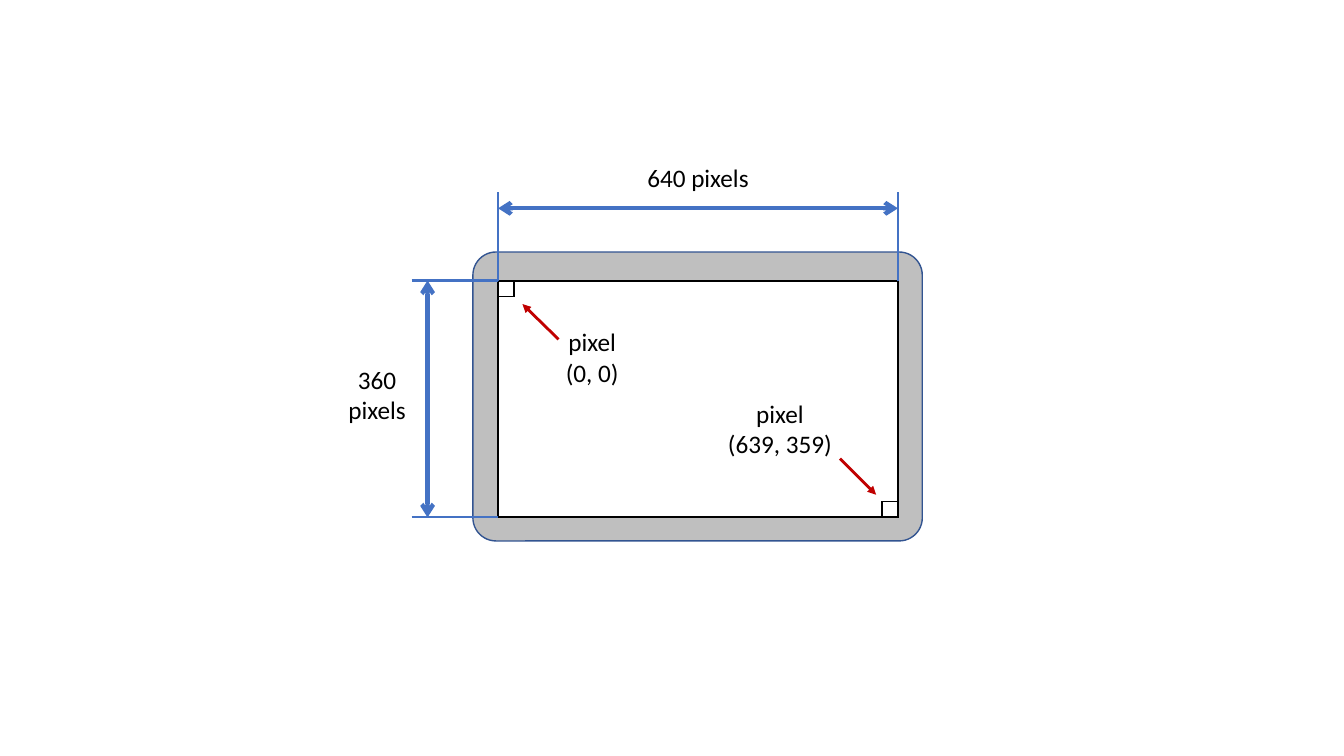
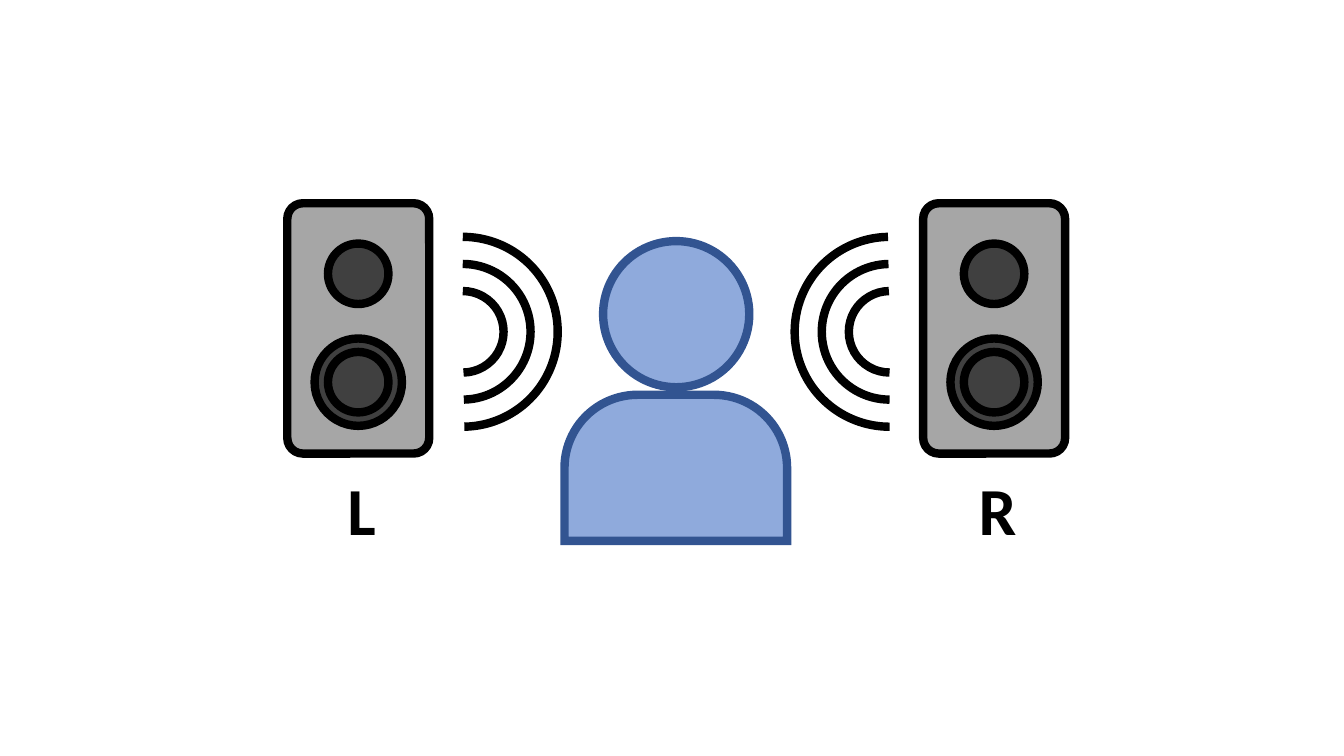
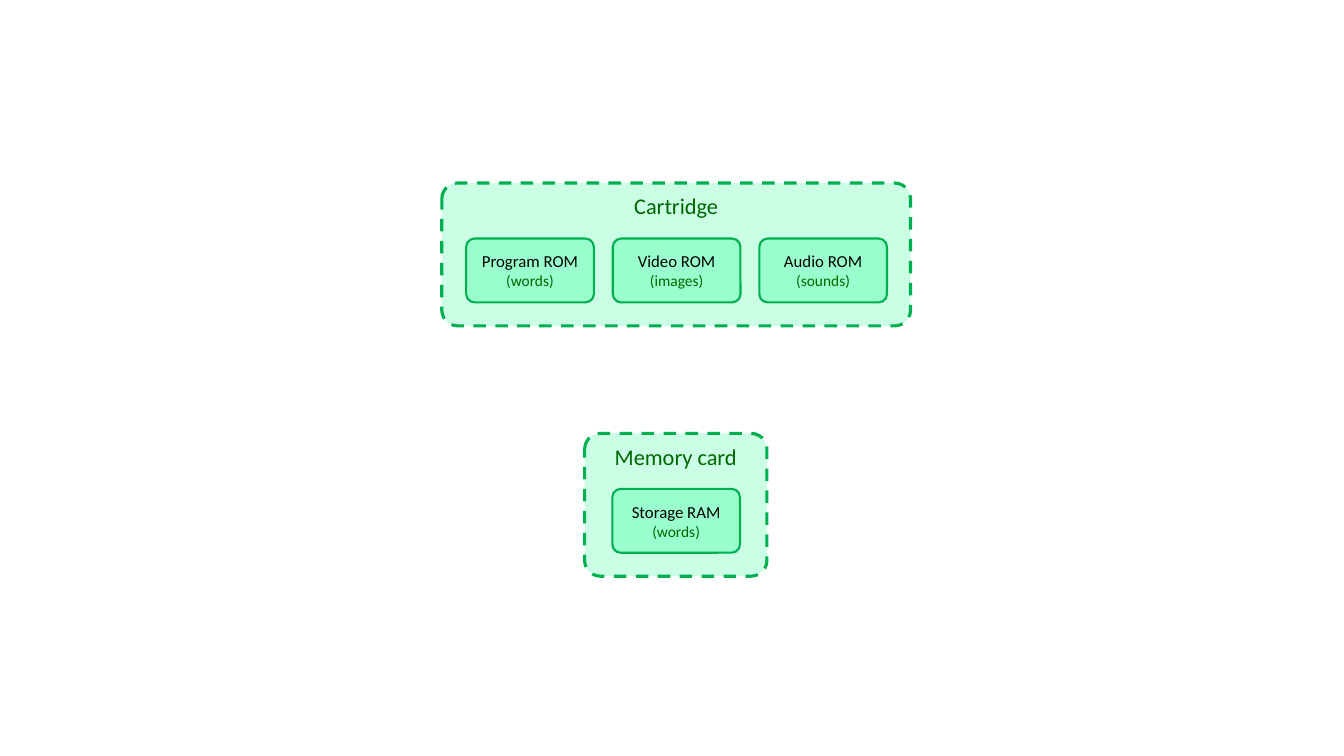
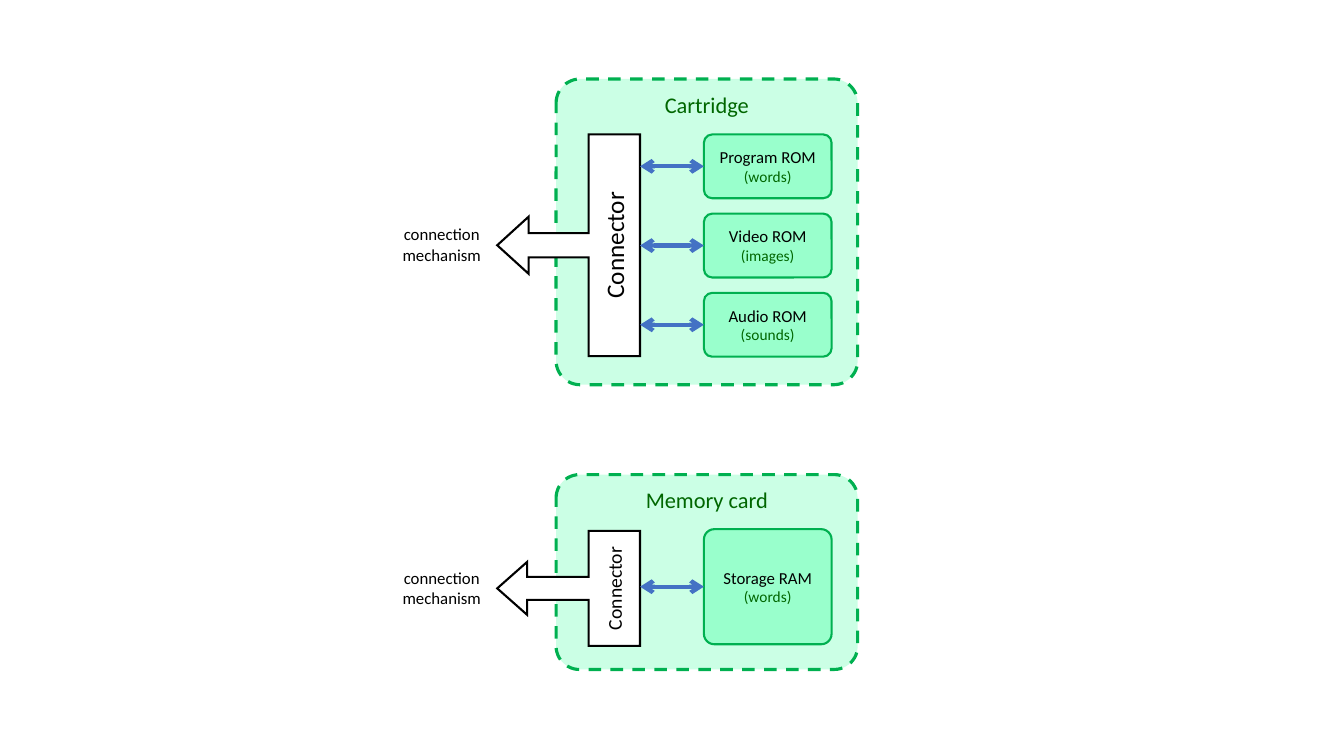
import dataclasses
import itertools

import lxml.etree
import pptx
import pptx.dml.color
import pptx.enum.dml
import pptx.enum.shapes
import pptx.enum.text
import pptx.oxml.ns
import pptx.util


@dataclasses.dataclass(frozen=True)
class Theme:
    font: str = "Calibri"
    black: str = "000000"
    white: str = "FFFFFF"
    blue: str = "4472C4"
    navy: str = "325491"
    sky: str = "8FAADC"
    red: str = "C00000"
    mint: str = "99FFCC"
    green: str = "00B050"
    forest: str = "006600"
    silver: str = "BFBFBF"
    gray: str = "A6A6A6"
    coal: str = "404040"
    huge: int = 48
    large: int = 18
    head: int = 16
    mid: int = 14
    body: int = 12
    small: int = 11
    thin: float = 1
    line: float = 1.5
    edge: float = 2.25
    bold: float = 3
    thick: float = 6


look = Theme()
kinds = pptx.enum.shapes.MSO_SHAPE
rgb = pptx.dml.color.RGBColor.from_string
qn = pptx.oxml.ns.qn
deck = pptx.Presentation()
deck.slide_width = pptx.util.Inches(13.333)
deck.slide_height = pptx.util.Inches(7.5)
col = deck.slide_width / 160
row = deck.slide_height / 90


def draw(page, text, box, kind=None, adj=(), fill=None, clear=None, line=None,
         width=look.line, dash=False, turn=0, sizes=(look.large,),
         inks=(look.black,), bold=False, middle=False, inset=(0.1, 0.05)):
    x, y, w, h = box
    spot = [round(v) for v in (x * col, y * row, w * col, h * row)]
    if kind is None:
        shape = page.shapes.add_textbox(*spot)
    else:
        shape = page.shapes.add_shape(kind, *spot)
        shape.shadow.inherit = False
        for i, value in enumerate(adj):
            shape.adjustments[i] = value
        if fill:
            shape.fill.solid()
            shape.fill.fore_color.rgb = rgb(fill)
        else:
            shape.fill.background()
        if clear:
            tint = shape.element.spPr.find(qn("a:solidFill") + "/" + qn("a:srgbClr"))
            lxml.etree.SubElement(tint, qn("a:alpha"), val=str(clear * 1000))
        shape.line.color.rgb = rgb(line)
        shape.line.width = pptx.util.Pt(width)
        if dash:
            shape.line.dash_style = pptx.enum.dml.MSO_LINE.DASH
        edge = shape.element.spPr.find(qn("a:ln"))
        lxml.etree.SubElement(edge, qn("a:miter"), lim="800000")
    shape.rotation = turn
    if not text:
        return
    frame = shape.text_frame
    frame.word_wrap = True
    frame.margin_left = frame.margin_right = pptx.util.Inches(inset[0])
    frame.margin_top = frame.margin_bottom = pptx.util.Inches(inset[1])
    anchor = pptx.enum.text.MSO_ANCHOR
    frame.vertical_anchor = anchor.MIDDLE if middle else anchor.TOP
    rows = zip(text.split("\n"), itertools.cycle(sizes), itertools.cycle(inks))
    for i, (words, size, ink) in enumerate(rows):
        para = frame.add_paragraph() if i else frame.paragraphs[0]
        para.alignment = pptx.enum.text.PP_ALIGN.CENTER
        run = para.add_run()
        run.text = words
        run.font.name = look.font
        run.font.size = pptx.util.Pt(size)
        run.font.bold = bold
        run.font.color.rgb = rgb(ink)


def link(page, start, end, ink=look.blue, width=look.line, head=None, tail=None):
    ends = [round(v * cell) for v, cell in zip(start + end, (col, row, col, row))]
    wire = page.shapes.add_connector(pptx.enum.shapes.MSO_CONNECTOR.STRAIGHT, *ends)
    wire.line.color.rgb = rgb(ink)
    wire.line.width = pptx.util.Pt(width)
    edge = wire.element.spPr.find(qn("a:ln"))
    for side, tip in (("a:headEnd", head), ("a:tailEnd", tail)):
        if tip:
            lxml.etree.SubElement(edge, qn(side), type=tip)
    lxml.etree.SubElement(wire.element.spPr, qn("a:effectLst"))


screen, sound, parts, wiring = [
    deck.slides.add_slide(deck.slide_layouts[6]) for _ in range(4)]
both = dict(width=look.bold, head="arrow", tail="arrow")
case = dict(kind=kinds.ROUNDED_RECTANGLE, fill=look.mint, clear=50, line=look.green,
            width=look.edge, dash=True, sizes=(look.head,), inks=(look.forest,))
chip = dict(kind=kinds.ROUNDED_RECTANGLE, fill=look.mint, line=look.green,
            sizes=(look.body, look.small), inks=(look.black, look.forest), middle=True)
roms = ("Program ROM\n(words)", "Video ROM\n(images)", "Audio ROM\n(sounds)")
ram = "Storage RAM\n(words)"
chip_w, chip_h = 15.2, 7.6

left, top, right, foot, dot = 59.3, 33.4, 106.9, 61.6, 1.9
draw(screen, "", (56.3, 30, 53.5, 34.4), kind=kinds.ROUNDED_RECTANGLE, adj=(0.08,),
     fill=look.silver, line=look.navy, width=look.thin)
draw(screen, "", (left, top, right - left, foot - top), kind=kinds.RECTANGLE,
     fill=look.white, line=look.black)
for x, y in ((left, top), (right - dot, foot - dot)):
    draw(screen, "", (x, y, dot, dot), kind=kinds.RECTANGLE, line=look.black,
         width=look.thin)
for x in (left, right):
    link(screen, (x, 22.9), (x, top))
for y in (top, foot):
    link(screen, (49, y), (left, y))
link(screen, (left, 24.8), (right, 24.8), **both)
link(screen, (50.9, top), (50.9, foot), **both)
draw(screen, "640 pixels", (left, 18.7, right - left, 4.8))
draw(screen, "360\npixels", (39, 42.8, 11.8, 8.5))
for text, box in (("pixel\n(0, 0)", (65.5, 38.4, 10, 8.2)),
                  ("pixel\n(639, 359)", (84.8, 46.9, 16.1, 8.2))):
    draw(screen, text, box, inset=(0.07, 0.04))
for start, end in (((66.5, 40.4), (62.2, 36.2)), ((100, 54.6), (104.3, 58.9))):
    link(screen, start, end, ink=look.red, width=2, tail="triangle")

pen = dict(line=look.black, width=look.thick)
for name, x, hub, turn in (("L", 34.2, 55.1, 0), ("R", 109.9, 105.9, 180)):
    draw(sound, "", (x, 24.2, 16.9, 29.8), kind=kinds.ROUNDED_RECTANGLE,
         adj=(0.11,), fill=look.gray, **pen)
    for y, size in ((32.6, 7.2), (45.5, 10.4), (45.5, 7.2)):
        draw(sound, "", (x + 8.45 - size / 2, y - size / 2, size, size),
             kind=kinds.OVAL, fill=look.coal, **pen)
    for i in range(3):
        size = 9.7 + 6.45 * i
        draw(sound, "", (hub - size / 2, 39.5 - size / 2, size, size),
             kind=kinds.ARC, adj=(162, 53.43), turn=turn, **pen)
    draw(sound, name, (x + 4, 55.2, 9.7, 9.2), sizes=(look.huge,), bold=True)
skin = dict(fill=look.sky, line=look.navy, width=look.thick)
draw(sound, "", (71.8, 28.7, 17.4, 17.4), kind=kinds.OVAL, **skin)
draw(sound, "", (67.2, 47, 26.5, 17.4), kind=kinds.ROUND_2_SAME_RECTANGLE,
     adj=(0.5, 0), **skin)

for name, chips, x, y, w, first in (
        ("Cartridge", roms, 52.6, 21.8, 55.8, 55.5),
        ("Memory card", (ram,), 69.6, 51.6, 21.7, 72.9)):
    draw(parts, name, (x, y, w, 17), adj=(0.11,), **case)
    for i, text in enumerate(chips):
        draw(parts, text, (first + 17.45 * i, y + 6.6, chip_w, chip_h),
             adj=(0.13,), **chip)

for name, chips, y, h, bend, plug, tall, first, size, adj, deep, curve in (
        ("Cartridge", roms, 9.4, 36.4, 0.08, 16, 26.4, 16, look.large,
         (0.17, 0.2, 0.22, 0.36), chip_h, 0.13),
        ("Memory card", (ram,), 56.5, 23.2, 0.12, 63.2, 13.7, 63, look.mid,
         (0.2, 0.23, 0.26, 0.36), 13.7, 0.09)):
    draw(wiring, name, (66.2, y, 35.9, h), adj=(bend,), **case)
    draw(wiring, "", (59.2, plug, 17, tall), kind=kinds.LEFT_ARROW_CALLOUT,
         adj=adj, fill=look.white, line=look.black)
    half = plug + tall / 2
    draw(wiring, "Connector", (73.1 - tall / 2, half - 3.05, tall, 6.1),
         turn=270, sizes=(size,), middle=True)
    draw(wiring, "connection mechanism", (46, half - 3.1, 13.2, 6),
         sizes=(look.body,))
    for i, text in enumerate(chips):
        place = first + 9.43 * i
        draw(wiring, text, (83.8, place, chip_w, deep), adj=(curve,), **chip)
        link(wiring, (76.2, place + deep / 2), (83.8, place + deep / 2), **both)

deck.save("out.pptx")
